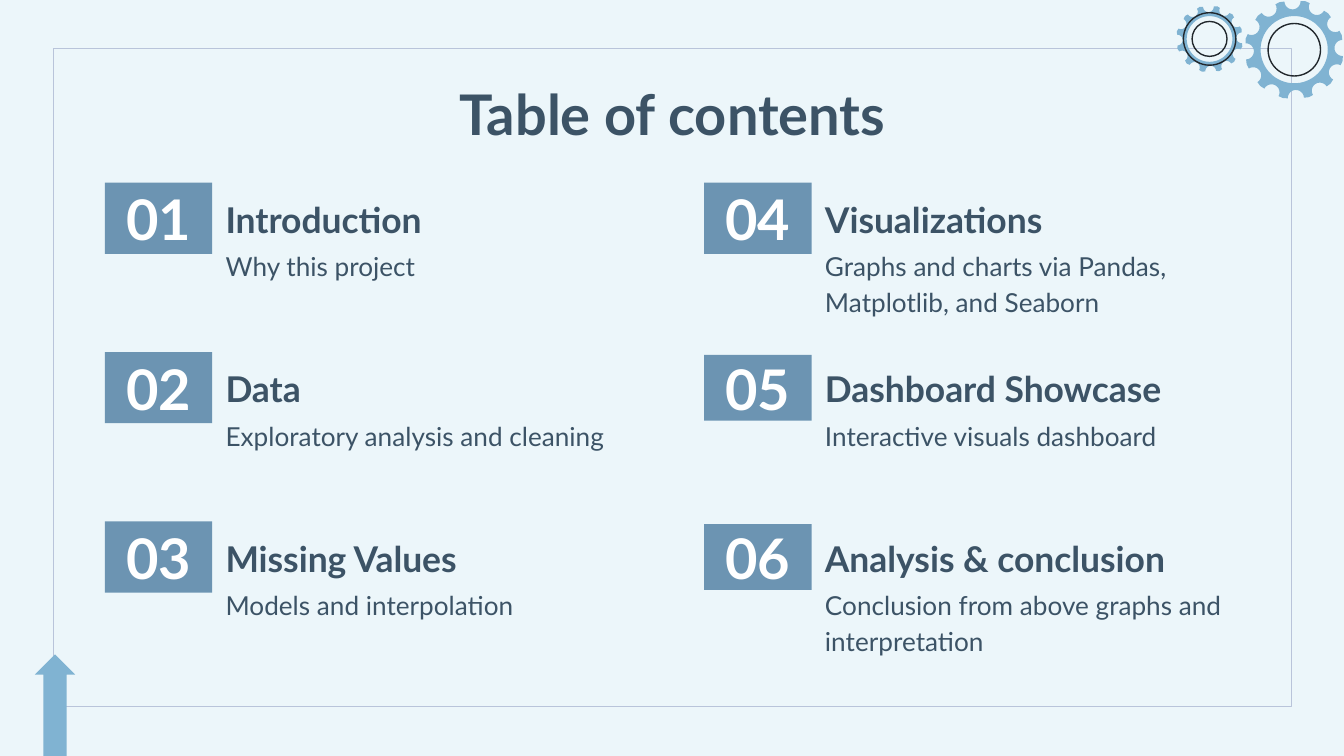
from math import cos, pi, radians, sin

from pptx import Presentation
from pptx.dml.color import RGBColor
from pptx.enum.shapes import MSO_SHAPE
from pptx.enum.text import MSO_ANCHOR, MSO_AUTO_SIZE, PP_ALIGN
from pptx.util import Inches, Pt

COLORS = {
    "background": "ECF6FA",
    "frame": "B9C4DA",
    "gear": "80B3D2",
    "ring": "21272C",
    "number": "6C94B2",
    "text": "3C5366",
    "white": "FFFFFF",
}


def color(name):
    return RGBColor.from_string(COLORS[name])


def write(shape, text, size, tint="text", bold=False, align=PP_ALIGN.LEFT,
          anchor=MSO_ANCHOR.TOP, spacing=1.0):
    frame = shape.text_frame
    frame.auto_size = MSO_AUTO_SIZE.NONE
    frame.word_wrap = True
    frame.vertical_anchor = anchor
    frame.margin_left = frame.margin_right = Inches(0.1)
    frame.margin_top = frame.margin_bottom = Inches(0.1)
    para = frame.paragraphs[0]
    para.alignment = align
    para.line_spacing = spacing
    span = para.add_run()
    span.text = text
    span.font.name = "Lato"
    span.font.size = Pt(size)
    span.font.bold = bold
    span.font.color.rgb = color(tint)


deck = Presentation()
deck.slide_width, deck.slide_height = Inches(10), Inches(5.625)
page = deck.slides.add_slide(deck.slide_layouts[5])
page.background.fill.solid()
page.background.fill.fore_color.rgb = color("background")
shapes = page.shapes

# Thin frame
border = shapes.add_shape(MSO_SHAPE.RECTANGLE, Inches(0.4), Inches(0.36), Inches(9.21), Inches(4.9))
border.shadow.inherit = False
border.fill.background()
border.line.color.rgb = color("frame")
border.line.width = Pt(0.75)

# Arrow rising from the bottom edge
arrow = shapes.add_shape(MSO_SHAPE.UP_ARROW, Inches(0.26), Inches(4.87), Inches(0.3), Inches(0.755))
arrow.adjustments[0] = 0.57
arrow.adjustments[1] = 0.5
arrow.shadow.inherit = False
arrow.fill.solid()
arrow.fill.fore_color.rgb = color("gear")
arrow.line.fill.background()

# Gears: center x, center y, outer radius, notch radius, hole radius, ring radii
gears = [
    (9, 0.29, 0.25, 0.04, 0.17, [0.195, 0.13]),
    (9.63, 0.37, 0.37, 0.06, 0.25, [0.195]),
]
TEETH = 12
for x, y, outer, notch, hole, rings in gears:
    outline = []
    for tooth in range(TEETH):
        angle = radians(-92) + tooth * 2 * pi / TEETH
        notch_x, notch_y = x + (outer - 0.01) * cos(angle), y + (outer - 0.01) * sin(angle)
        for step in range(13):
            turn = angle - pi / 2 - step * pi / 12
            outline.append((Inches(notch_x + notch * cos(turn)), Inches(notch_y + notch * sin(turn))))
        middle = angle + pi / TEETH
        outline.append((Inches(x + outer * cos(middle)), Inches(y + outer * sin(middle))))
    inner = [(Inches(x + hole * cos(radians(d))), Inches(y + hole * sin(radians(d))))
             for d in range(360, 0, -5)]
    builder = shapes.build_freeform(*outline[0])
    builder.add_line_segments(outline[1:], close=True)
    builder.move_to(*inner[0])
    builder.add_line_segments(inner[1:], close=True)
    gear = builder.convert_to_shape()
    gear.shadow.inherit = False
    gear.fill.solid()
    gear.fill.fore_color.rgb = color("gear")
    gear.line.fill.background()
    for radius in rings:
        ring = shapes.add_shape(MSO_SHAPE.OVAL, Inches(x - radius), Inches(y - radius),
                                Inches(2 * radius), Inches(2 * radius))
        ring.shadow.inherit = False
        ring.fill.background()
        ring.line.color.rgb = color("ring")
        ring.line.width = Pt(0.75)

# Title
title = shapes.title
title.left, title.top, title.width, title.height = Inches(0.79), Inches(0.49), Inches(8.43), Inches(0.63)
write(title, "Table of contents", 30, bold=True, align=PP_ALIGN.CENTER)

# Sections, filled column by column
sections = [
    ("Introduction", "Why this project"),
    ("Data", "Exploratory analysis and cleaning"),
    ("Missing Values", "Models and interpolation"),
    ("Visualizations", "Graphs and charts via Pandas, Matplotlib, and Seaborn"),
    ("Dashboard Showcase", "Interactive visuals dashboard"),
    ("Analysis & conclusion", "Conclusion from above graphs and interpretation"),
]
for index, (heading, detail) in enumerate(sections):
    column, row = divmod(index, 3)
    left, top = 0.78 + column * 4.46, 1.36 + row * 1.26
    trim = 0.02 if column and row else 0
    number = shapes.add_shape(MSO_SHAPE.RECTANGLE, Inches(left), Inches(top + trim),
                              Inches(0.8), Inches(0.53 - 2 * trim))
    number.shadow.inherit = False
    number.fill.solid()
    number.fill.fore_color.rgb = color("number")
    number.line.fill.background()
    write(number, f"{index + 1:02}", 30, "white", True, PP_ALIGN.CENTER, MSO_ANCHOR.MIDDLE)

    heading_box = shapes.add_textbox(Inches(left + 0.8), Inches(top), Inches(3.17), Inches(0.53))
    write(heading_box, heading, 19, bold=True, anchor=MSO_ANCHOR.BOTTOM)
    detail_box = shapes.add_textbox(Inches(left + 0.8), Inches(top + 0.37), Inches(3.17), Inches(0.63))
    write(detail_box, detail, 14, spacing=1.15)

deck.save("out.pptx")
